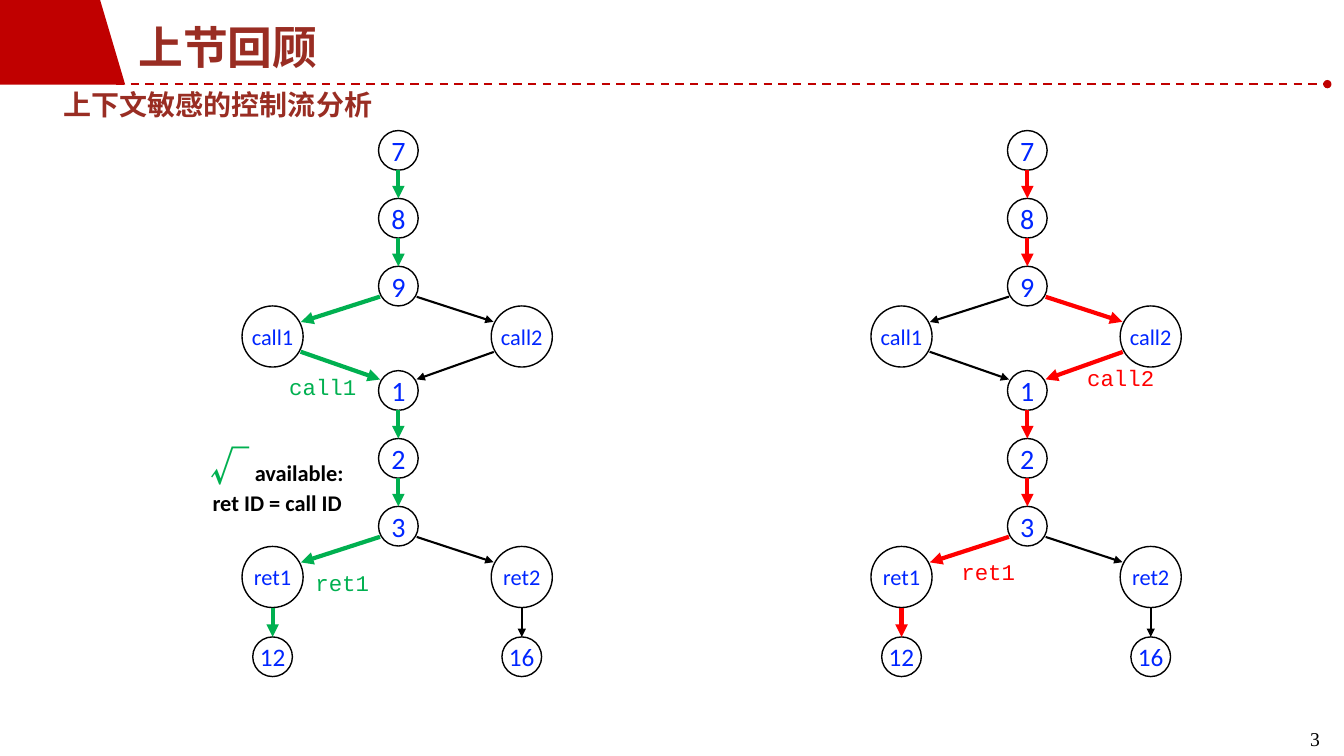
from dataclasses import dataclass
from math import hypot

from lxml.etree import SubElement
from pptx import Presentation
from pptx.dml.color import RGBColor
from pptx.enum.dml import MSO_LINE_DASH_STYLE as Dash
from pptx.enum.shapes import MSO_CONNECTOR as Connector, MSO_SHAPE as Shape
from pptx.enum.text import MSO_ANCHOR as Anchor, MSO_AUTO_SIZE as AutoSize, PP_ALIGN as Align
from pptx.oxml.ns import qn
from pptx.util import Cm, Pt

COLORS = {
    "banner": "C00000",
    "heading": "992D23",
    "node": "0026FF",
    "black": "000000",
    "valid": "00B050",
    "invalid": "FF0000",
}
CJK_FONT = "Noto Sans CJK SC"
ROW_STEP = 1.71
GRAPH_STEP = 15.85
SLANT_SHIFT = 0.08
SPINE, LEFT, RIGHT = 10.04, 6.87, 13.15
SMALL, LARGE = 1.0, 1.54


@dataclass(frozen=True)
class Node:
    text: str
    x: float
    y: float
    diameter: float = SMALL
    size: int = 20


@dataclass(frozen=True)
class Span:
    text: str
    size: int
    font: str
    color: str
    bold: bool = False


@dataclass(frozen=True)
class Label:
    lines: list[list[Span]]
    x: float
    y: float
    width: float
    height: float
    align: Align = Align.LEFT


@dataclass(frozen=True)
class Graph:
    shift: float
    color: str
    route: list[str]


NODES = [
    *[Node(text, SPINE, 3.79 + row * ROW_STEP) for row, text in enumerate("789")],
    *[Node(text, SPINE, 9.84 + row * ROW_STEP) for row, text in enumerate("123")],
    Node("call1", LEFT, 8.48, LARGE, 16),
    Node("call2", RIGHT, 8.48, LARGE, 16),
    Node("ret1", LEFT, 14.54, LARGE, 16),
    Node("ret2", RIGHT, 14.54, LARGE, 16),
    Node("12", LEFT, 16.55, SMALL, 18),
    Node("16", RIGHT, 16.55, SMALL, 18),
]
NODE_BY_TEXT = {node.text: node for node in NODES}
EDGES = [
    ("7", "8"), ("8", "9"), ("9", "call1"), ("9", "call2"),
    ("call1", "1"), ("call2", "1"), ("1", "2"), ("2", "3"),
    ("3", "ret1"), ("3", "ret2"), ("ret1", "12"), ("ret2", "16"),
]
GRAPHS = [
    Graph(0, "valid", ["7", "8", "9", "call1", "1", "2", "3", "ret1", "12"]),
    Graph(GRAPH_STEP, "invalid", ["7", "8", "9", "call2", "1", "2", "3", "ret1", "12"]),
]


def path_label(text: str, x: float, y: float, color: str) -> Label:
    return Label([[Span(text, 16, "Courier New", color)]], x, y, 2.36, 0.94)


LABELS = [
    Label(
        [
            [Span("√", 28, CJK_FONT, "valid", True), Span(" available:", 16, "Calibri", "black", True)],
            [Span("ret ID = call ID", 16, "Calibri", "black", True)],
        ],
        4.57, 11.02, 4.83, 2.13, Align.CENTER,
    ),
    path_label("call1", 7.04, 9.27, "valid"),
    path_label("ret1", 7.7, 14.22, "valid"),
    path_label("call2", 27.15, 9.04, "invalid"),
    path_label("ret1", 23.98, 13.94, "invalid"),
    Label([[Span("3", 14, "Times New Roman", "black")]], 32.39, 18.19, 1.5, 0.76, Align.CENTER),
]


def rgb(name: str) -> RGBColor:
    return RGBColor.from_string(COLORS[name])


def add_span(para, span: Span) -> None:
    run = para.add_run()
    run.text = span.text
    run.font.size = Pt(span.size)
    run.font.bold = span.bold
    run.font.name = span.font
    run.font.color.rgb = rgb(span.color)
    SubElement(run.font._element, qn("a:ea"), typeface=CJK_FONT)


def place(box, left: float, top: float, width: float, height: float) -> None:
    box.left, box.top, box.width, box.height = Cm(left), Cm(top), Cm(width), Cm(height)


def add_line(shapes, start: tuple, end: tuple, color: str, width: float, tail: str, dash=None) -> None:
    line = shapes.add_connector(Connector.STRAIGHT, *map(Cm, (*start, *end)))
    line.line.color.rgb = rgb(color)
    line.line.width = Pt(width)
    if dash:
        line.line.dash_style = dash
    SubElement(line.line._get_or_add_ln(), qn("a:tailEnd"), type=tail)
    SubElement(line._element.spPr, qn("a:effectLst"))


def add_node(shapes, node: Node, shift: float) -> None:
    radius = node.diameter / 2
    box = shapes.add_shape(
        Shape.OVAL, Cm(node.x + shift - radius), Cm(node.y - radius), Cm(node.diameter), Cm(node.diameter)
    )
    box.shadow.inherit = False
    box.fill.background()
    box.line.color.rgb = rgb("black")
    box.line.width = Pt(1)
    frame = box.text_frame
    frame.margin_left = frame.margin_right = frame.margin_top = frame.margin_bottom = 0
    frame.vertical_anchor = Anchor.MIDDLE
    frame.word_wrap = False
    para = frame.paragraphs[0]
    para.alignment = Align.CENTER
    add_span(para, Span(node.text, node.size, "Calibri", "node"))


def add_edge(shapes, source: Node, target: Node, shift: float, color: str, width: float) -> None:
    dx, dy = target.x - source.x, target.y - source.y
    length = hypot(dx, dy)
    ux, uy = dx / length, dy / length
    nudge = SLANT_SHIFT if dx else 0
    out, into = source.diameter / 2, target.diameter / 2
    start = (source.x + shift + ux * out, source.y + uy * out + nudge)
    end = (target.x + shift - ux * into, target.y - uy * into - nudge)
    add_line(shapes, start, end, color, width, "triangle")


def add_graph(page, graph: Graph) -> None:
    shapes = page.shapes.add_group_shape().shapes
    steps = set(zip(graph.route, graph.route[1:]))
    for node in NODES:
        add_node(shapes, node, graph.shift)
    for source, target in EDGES:
        color, width = (graph.color, 3) if (source, target) in steps else ("black", 1.5)
        add_edge(shapes, NODE_BY_TEXT[source], NODE_BY_TEXT[target], graph.shift, color, width)


def add_label(page, label: Label) -> None:
    box = page.shapes.add_textbox(Cm(label.x), Cm(label.y), Cm(label.width), Cm(label.height))
    frame = box.text_frame
    frame.word_wrap = True
    for index, line in enumerate(label.lines):
        para = frame.add_paragraph() if index else frame.paragraphs[0]
        para.alignment = label.align
        for span in line:
            add_span(para, span)


def add_headings(page) -> None:
    title, body = page.shapes.title, page.placeholders[1]
    place(title, 3.23, 0.5, 30.64, 1.5)
    place(body, 1.35, 2.08, 10.62, 1.12)
    for box, anchor in ((title, Anchor.MIDDLE), (body, Anchor.TOP)):
        box.text_frame.auto_size = AutoSize.NONE
        box.text_frame.vertical_anchor = anchor
    para = title.text_frame.paragraphs[0]
    para.alignment = Align.LEFT
    para.line_spacing = 0.9
    add_span(para, Span("上节回顾", 32, "Times New Roman", "heading", True))
    para = body.text_frame.paragraphs[0]
    para.alignment = Align.JUSTIFY
    para.line_spacing = Pt(24)
    para.space_before = Pt(0)
    properties = para._p.get_or_add_pPr()
    properties.set("marL", "0")
    properties.set("indent", "0")
    SubElement(properties, qn("a:buNone"))
    add_span(para, Span("上下文敏感的控制流分析", 20, "Courier New", "heading", True))


def add_banner(page) -> None:
    banner = page.shapes.add_shape(Shape.FLOWCHART_MANUAL_INPUT, Cm(0.5), Cm(-0.52), Cm(2.14), Cm(3.17))
    banner.rotation = 90
    banner.shadow.inherit = False
    banner.fill.solid()
    banner.fill.fore_color.rgb = rgb("banner")
    banner.line.fill.background()
    add_line(page.shapes, (2.92, 2.12), (33.45, 2.12), "banner", 1.5, "oval", Dash.DASH)


def main() -> None:
    deck = Presentation()
    deck.slide_width, deck.slide_height = Cm(33.87), Cm(19.05)
    page = deck.slides.add_slide(deck.slide_layouts[1])
    add_banner(page)
    add_headings(page)
    for graph in GRAPHS:
        add_graph(page, graph)
    for label in LABELS:
        add_label(page, label)
    deck.save("out.pptx")


if __name__ == "__main__":
    main()
